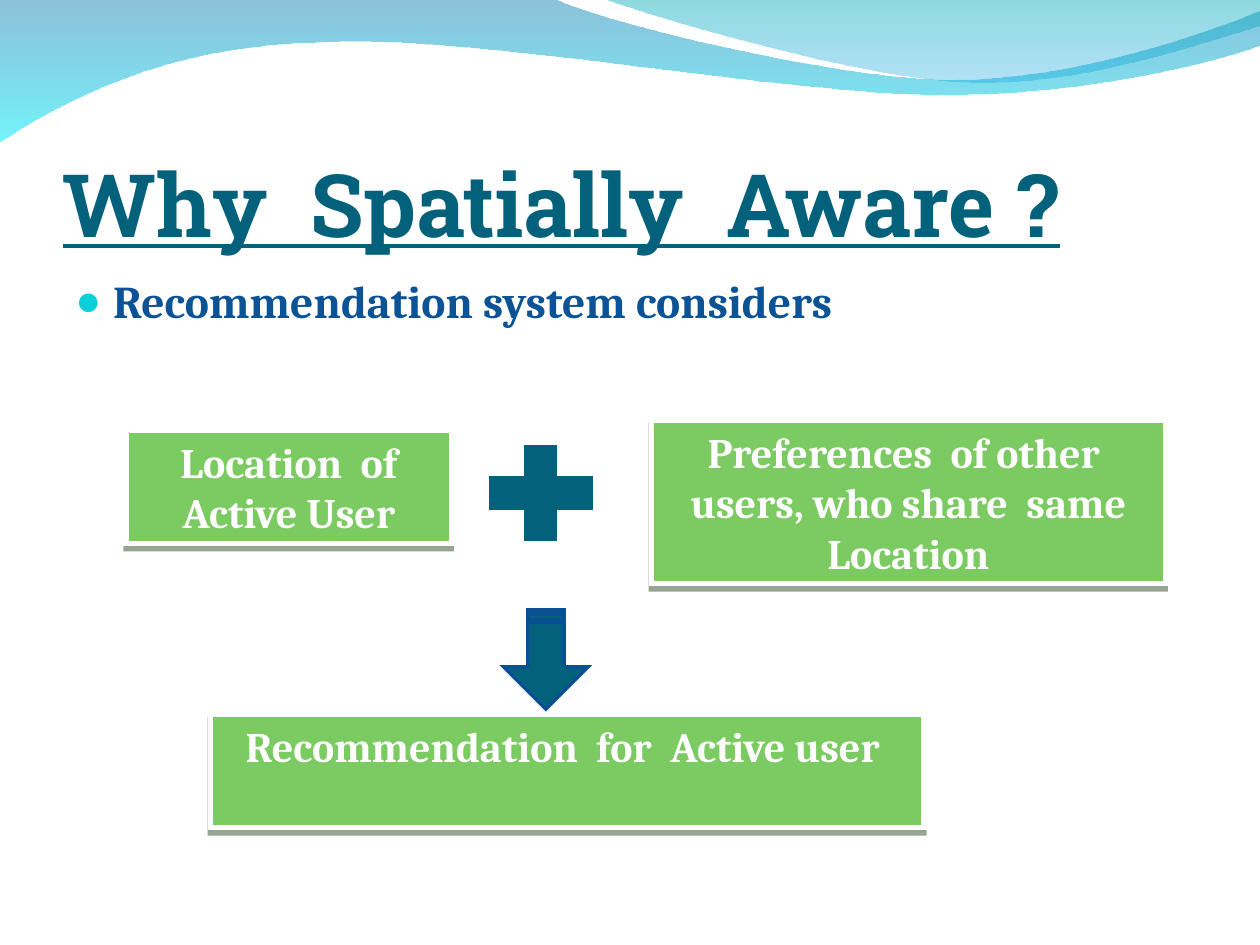
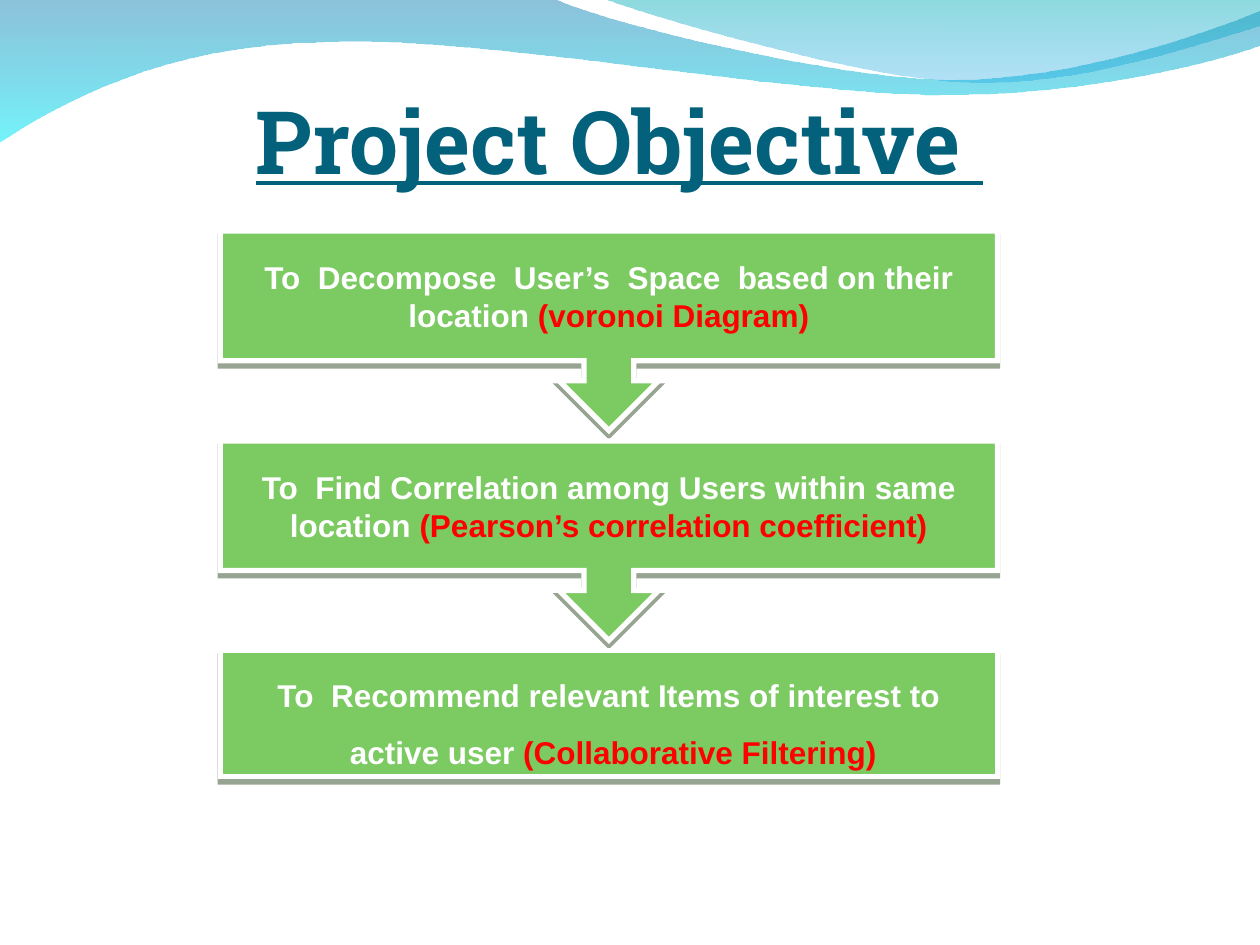
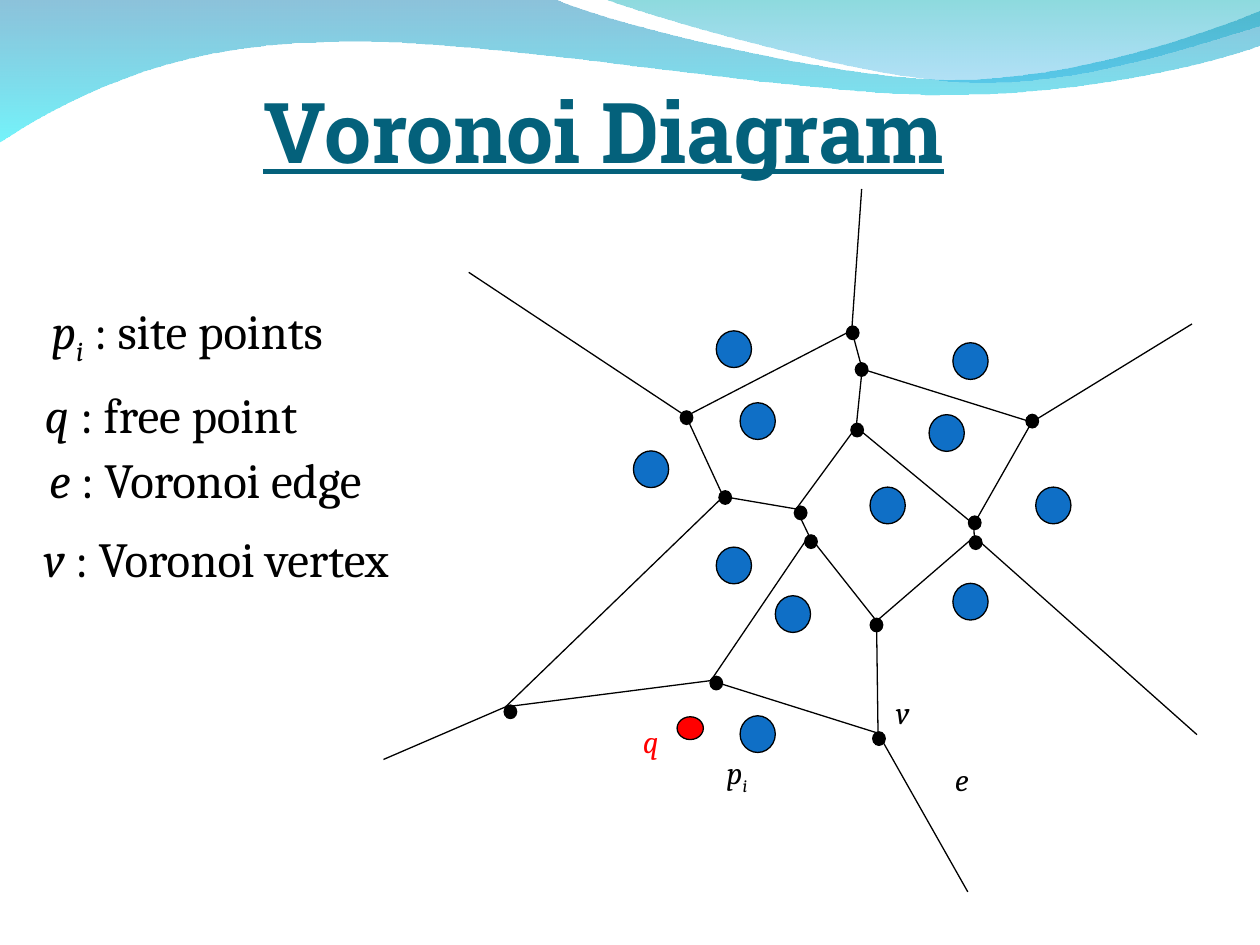
"""Build three slides on spatially aware recommendation and Voronoi diagrams."""
from lxml import etree
from pptx import Presentation
from pptx.dml.color import RGBColor
from pptx.enum.shapes import MSO_CONNECTOR, MSO_SHAPE
from pptx.enum.text import MSO_ANCHOR, PP_ALIGN
from pptx.oxml.ns import qn
from pptx.util import Cm, Pt

RECT, OVAL = MSO_SHAPE.RECTANGLE, MSO_SHAPE.OVAL
CALLOUT = MSO_SHAPE.DOWN_ARROW_CALLOUT
PLUS, ARROW = MSO_SHAPE.MATH_PLUS, MSO_SHAPE.STRIPED_RIGHT_ARROW
STRAIGHT = MSO_CONNECTOR.STRAIGHT
TOP, MIDDLE, BOTTOM = MSO_ANCHOR.TOP, MSO_ANCHOR.MIDDLE, MSO_ANCHOR.BOTTOM
LEFT, CENTER = PP_ALIGN.LEFT, PP_ALIGN.CENTER

TEAL = RGBColor(0x04, 0x61, 0x7B)
NAVY = RGBColor(0x0B, 0x53, 0x95)
ARROW_EDGE = RGBColor(0x08, 0x50, 0x91)
GREEN = RGBColor(0x7C, 0xCA, 0x62)
SHADOW = RGBColor(0x24, 0x42, 0x1A)
BULLET = RGBColor(0x0B, 0xD0, 0xD9)
SITE_BLUE = RGBColor(0x0F, 0x6F, 0xC6)
RED = RGBColor(0xFF, 0x00, 0x00)
WHITE = RGBColor(0xFF, 0xFF, 0xFF)
BLACK = RGBColor(0x00, 0x00, 0x00)

HEAD_FONT, BODY_FONT, BOX_FONT = "Roboto Slab", "Cambria", "Arial"

WAVES = [
    {"start": (0, -0.02),
     "parts": [[(11.18, -0.02)],
               [(12.09, 0.43), (16.87, 1.6), (19.25, 1.6)],
               [(21.67, 1.6), (24.33, 0.66), (25.4, 0.23)],
               [(25.42, 0.91)],
               [(24.97, 1.12), (22.1, 1.93), (18.95, 1.91)],
               [(15.8, 1.91), (9.7, 0.71), (6.53, 0.86)],
               [(3.28, 0.89), (1.17, 2.11), (-0.02, 2.87)]],
     "stops": [(RGBColor(0x00, 0x79, 0xAF), 45), (RGBColor(0x00, 0xEB, 0xF8), 55)]},
    {"start": (12.17, -0.02),
     "parts": [[(12.93, 0.28), (17.32, 1.57), (19.53, 1.65)],
               [(21.74, 1.75), (24.41, 0.81), (25.4, 0.53)],
               [(25.4, 0)]],
     "stops": [(RGBColor(0x00, 0xAD, 0xB6), 45), (RGBColor(0x00, 0x9B, 0xE5), 30)]},
]

FACTORS = [
    ("Location  of Active User", (2.54, 8.67, 6.56, 2.29)),
    ("Preferences  of other  users, who share  same Location", (13.13, 8.47, 10.36, 3.3)),
    ("Recommendation  for  Active user ", (4.24, 14.4, 14.39, 2.29)),
]

OBJECTIVES = [
    [[("To  Decompose  User’s  Space  based on their location ", {}),
      ("(voronoi Diagram)", {"color": RED})]],
    [[("To  Find Correlation among Users within same location ", {}),
      ("(Pearson’s correlation coefficient)", {"color": RED})]],
    [[("To  Recommend relevant Items of interest to", {})],
     [(" active user ", {}), ("(Collaborative Filtering)", {"color": RED})]],
]

ITALIC = {"italic": True}
SUB = {"italic": True, "sub": True}
LEGEND = [
    ([("p", ITALIC), ("i", SUB), (" : site points", {})], (0.79, 5.93, 6.86, 1.6)),
    ([("q", ITALIC), (" : free point", {})], (0.65, 7.62, 9.25, 1.45)),
    ([("e", ITALIC), (" : Voronoi edge", {})], (0.74, 8.93, 8.03, 1.45)),
    ([("v", ITALIC), (" : Voronoi vertex", {})], (0.63, 10.53, 9.07, 1.45)),
]
LABELS = [
    ([("p", ITALIC), ("i", SUB)], (14.4, 15.06, 0.99, 1.12)),
    ([("q", {"italic": True, "color": RED})], (12.71, 14.43, 0.86, 1.02)),
    ([("e", ITALIC)], (19, 15.19, 0.81, 1.02)),
    ([("v", ITALIC)], (17.81, 13.84, 0.84, 1.02)),
]
JOINTS = {
    "a": (17.17, 6.66), "b": (17.38, 7.44), "c": (17.26, 8.61), "d": (13.83, 8.39),
    "e": (14.58, 10.01), "f": (16.05, 10.26), "g": (16.31, 10.8), "h": (19.63, 10.57),
    "i": (19.64, 10.82), "j": (20.8, 8.51), "k": (17.67, 12.52), "l": (14.33, 13.72),
    "m": (10.19, 14.25), "n": (17.7, 14.78),
    "N": (17.37, 3.81), "NE": (24.03, 6.53), "SE": (24.13, 14.81),
    "S": (19.51, 17.98), "SW": (7.73, 15.31), "NW": (9.45, 5.49),
}
EDGES = ("a-b f-g f-c k-i i-h NW-d d-e e-m m-SW m-l l-g e-f c-h g-k l-n n-k "
         "c-b d-a n-S i-SE b-j h-j j-NE a-N").split()
VERTICES = [
    (17.05, 6.56), (17.23, 7.3), (17.14, 8.52), (13.7, 8.27), (14.48, 9.88),
    (16, 10.19), (16.21, 10.77), (19.51, 10.39), (19.53, 10.79), (20.67, 8.34),
    (17.53, 12.45), (14.3, 13.62), (10.15, 14.2), (17.58, 14.74),
]
SITES = [
    (14.92, 14.43), (15.63, 12.01), (17.54, 9.82), (19.21, 11.76), (20.88, 9.82),
    (18.73, 8.36), (19.21, 6.91), (14.44, 11.03), (12.77, 9.09), (14.92, 8.12),
    (14.44, 6.67),
]


def set_alpha(color, percent):
    """Make a colour element partly transparent."""
    etree.SubElement(color, qn("a:alpha")).set("val", str(percent * 1000))


def bend(segments, parts):
    """Turn each part of three straight segments into one cubic curve."""
    segments = iter(segments)
    for part in parts:
        lines = [next(segments) for _ in part]
        if len(part) == 3:
            curve = etree.Element(qn("a:cubicBezTo"))
            lines[0].addprevious(curve)
            for line in lines:
                curve.append(line[0])
                line.getparent().remove(line)


def add_wave(slide, start, parts, stops):
    """Draw one translucent wave at the top of a slide."""
    points = [(Cm(x), Cm(y)) for x, y in [start] + sum(parts, [])]
    builder = slide.shapes.build_freeform(*points[0], scale=1.0)
    builder.add_line_segments(points[1:], close=True)
    s = builder.convert_to_shape()
    bend(list(s._element.spPr.iter(qn("a:lnTo"))), parts)
    s.shadow.inherit = False
    s.line.fill.background()
    s.fill.gradient()
    s.fill.gradient_angle = 270
    for stop, (color, _) in zip(s.fill.gradient_stops, stops):
        stop.color.rgb = color
    for element, (_, percent) in zip(s._element.spPr.iter(qn("a:srgbClr")), stops):
        set_alpha(element, percent)


def write(s, paragraphs, size, color, font=BODY_FONT, bold=False, align=LEFT,
          anchor=TOP, spacing=None):
    """Write paragraphs of styled runs into a shape."""
    tf = s.text_frame
    tf.word_wrap = True
    tf.vertical_anchor = anchor
    for n, runs in enumerate(paragraphs):
        p = tf.add_paragraph() if n else tf.paragraphs[0]
        p.alignment = align
        if spacing:
            p.line_spacing = spacing
        for text, style in runs:
            r = p.add_run()
            r.text = text
            r.font.name, r.font.size, r.font.bold = font, Pt(size), bold
            r.font.italic = style.get("italic", False)
            r.font.underline = style.get("underline", False)
            r.font.color.rgb = style.get("color", color)
            if style.get("sub"):
                r.font._element.set("baseline", "-25000")
    return tf


def add_text(slide, box, paragraphs, size, color, **style):
    """Add a text box and return its text frame."""
    s = slide.shapes.add_textbox(*map(Cm, box))
    return write(s, paragraphs, size, color, **style)


def add_title(slide, text, box, size=50, align=CENTER):
    """Add the underlined slide title."""
    tf = add_text(slide, box, [[(text, {"underline": True})]], size, TEAL,
                  font=HEAD_FONT, bold=True, align=align, anchor=BOTTOM)
    tf.margin_left = tf.margin_right = tf.margin_bottom = 0


def add_shape(slide, kind, box, fill, line=None, width=0.75):
    """Add a flat preset shape with sharp corners."""
    s = slide.shapes.add_shape(kind, *map(Cm, box))
    s.shadow.inherit = False
    s.fill.solid()
    s.fill.fore_color.rgb = fill
    if line is None:
        s.line.fill.background()
    else:
        s.line.color.rgb = line
        s.line.width = Pt(width)
        ln = s._element.spPr.find(qn("a:ln"))
        etree.SubElement(ln, qn("a:miter"), lim="800000")
    return s


def add_green_box(slide, kind, box):
    """Add a green box with a white edge and a hard shadow below."""
    s = add_shape(slide, kind, box, GREEN, WHITE, 3)
    effects = s._element.spPr.find(qn("a:effectLst"))
    shadow = etree.SubElement(effects, qn("a:outerShdw"), dist=str(Pt(3)),
                              dir="5400000", rotWithShape="0")
    color = etree.SubElement(shadow, qn("a:srgbClr"), val=str(SHADOW))
    set_alpha(color, 48)
    return s


def add_edge(slide, start, end):
    """Draw a thin black line between two points."""
    s = slide.shapes.add_connector(STRAIGHT, *map(Cm, start + end))
    s.line.color.rgb = BLACK
    s.line.width = Pt(0.75)
    etree.SubElement(s._element.spPr, qn("a:effectLst"))


def add_bullet(p):
    """Give a paragraph a round coloured bullet and a hanging indent."""
    pPr = p._p.get_or_add_pPr()
    pPr.set("marL", str(Cm(0.76)))
    pPr.set("indent", str(Cm(-0.76)))
    color = etree.SubElement(pPr, qn("a:buClr"))
    etree.SubElement(color, qn("a:srgbClr"), val=str(BULLET))
    etree.SubElement(pPr, qn("a:buSzPct"), val="95000")
    etree.SubElement(pPr, qn("a:buFont"), typeface=BOX_FONT)
    etree.SubElement(pPr, qn("a:buChar"), char="●")


def new_slide(prs):
    """Add a blank slide with the waves."""
    slide = prs.slides.add_slide(prs.slide_layouts[6])
    for wave in WAVES:
        add_wave(slide, **wave)
    return slide


def build_reasons(prs):
    """Show what the recommendation is made from."""
    slide = new_slide(prs)
    add_title(slide, "Why  Spatially  Aware ?", (1.27, 1.96, 22.86, 3.18), align=LEFT)
    tf = add_text(slide, (1.27, 5.38, 22.86, 12.19),
                  [[("Recommendation system considers", {})]], 26, NAVY, bold=True)
    add_bullet(tf.paragraphs[0])
    add_shape(slide, PLUS, (9.53, 8.67, 2.75, 2.54), TEAL, TEAL, 2)
    for text, box in FACTORS:
        s = add_green_box(slide, RECT, box)
        write(s, [[(text, {})]], 24, WHITE, bold=True, align=CENTER)
    s = add_shape(slide, ARROW, (10, 12.44, 2.01, 1.7), TEAL, ARROW_EDGE, 2)
    s.rotation = 90
    s.adjustments[0], s.adjustments[1] = 0.43, 0.5


def build_objectives(prs):
    """Show the project steps from top to bottom."""
    slide = new_slide(prs)
    add_title(slide, "Project Objective ", (0.85, 1.48, 23.29, 2.39))
    for n, paragraphs in enumerate(OBJECTIVES):
        last = n == len(OBJECTIVES) - 1
        box = (4.44, 4.66 + 4.23 * n, 15.67, 2.54 if last else 4.02)
        s = add_green_box(slide, RECT if last else CALLOUT, box)
        if not last:
            for k, value in enumerate((0.25, 0.25, 0.25, 0.65)):
                s.adjustments[k] = value
        write(s, paragraphs, 18, WHITE, font=BOX_FONT, bold=True, align=CENTER,
              anchor=TOP if last else MIDDLE, spacing=1.5 if last else None)


def build_voronoi(prs):
    """Draw the Voronoi diagram and its legend."""
    slide = new_slide(prs)
    add_title(slide, "Voronoi Diagram", (4.65, 0.94, 15.04, 2.69), size=48)
    for edge in EDGES:
        start, end = edge.split("-")
        add_edge(slide, JOINTS[start], JOINTS[end])
    for place in SITES:
        add_shape(slide, OVAL, place + (0.71, 0.74), SITE_BLUE, BLACK)
    for place in VERTICES:
        add_shape(slide, OVAL, place + (0.28, 0.3), BLACK)
    add_shape(slide, OVAL, (13.65, 14.45, 0.53, 0.46), RED, BLACK)
    for entries, size in ((LEGEND, 28), (LABELS, 18)):
        for runs, box in entries:
            add_text(slide, box, [runs], size, BLACK)


def main():
    """Build and save the presentation."""
    prs = Presentation()
    prs.slide_width, prs.slide_height = Cm(25.4), Cm(19.05)
    build_reasons(prs)
    build_objectives(prs)
    build_voronoi(prs)
    prs.save("out.pptx")


if __name__ == "__main__":
    main()
